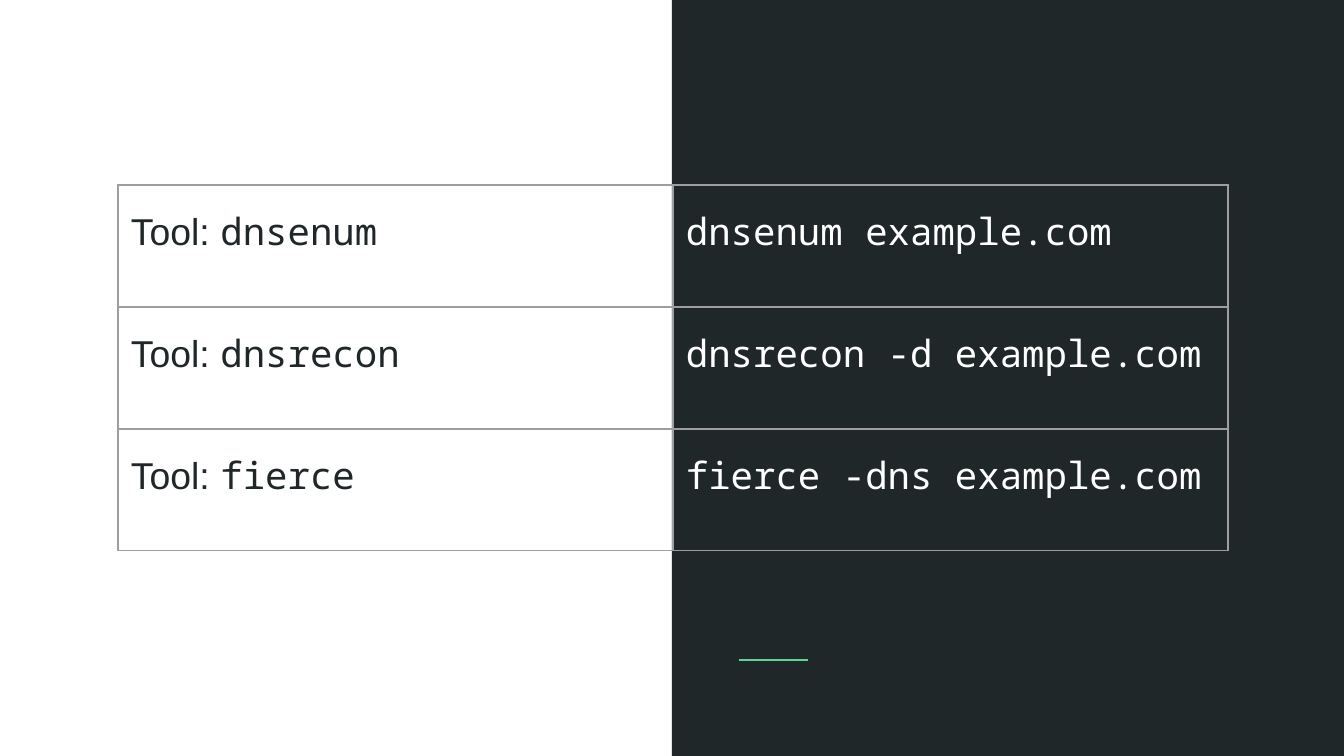
"""Build a slide that pairs DNS enumeration tools with their commands."""
from dataclasses import dataclass

from lxml import etree
from pptx import Presentation
from pptx.dml.color import RGBColor
from pptx.enum.shapes import MSO_CONNECTOR, MSO_SHAPE
from pptx.oxml.ns import qn
from pptx.slide import Slide
from pptx.table import _Cell
from pptx.util import Emu, Pt

RECT = MSO_SHAPE.RECTANGLE
STRAIGHT = MSO_CONNECTOR.STRAIGHT
DARK = RGBColor(0x20, 0x27, 0x29)
WHITE = RGBColor(0xFF, 0xFF, 0xFF)
GREEN = RGBColor(0x63, 0xD2, 0x97)
GREY = RGBColor(0x9E, 0x9E, 0x9E)
SANS = "Arial"
MONO = "Noto Sans Mono"
SLIDE_W, SLIDE_H = 1344, 756
TABLE_LEFT, TABLE_TOP = 118, 185
COL_W, ROW_H = 555, 122
CELL_MARGIN = 13


@dataclass(frozen=True)
class Run:
    text: str
    font: str
    color: RGBColor


@dataclass(frozen=True)
class Tool:
    name: str
    command: str


TOOLS = [
    Tool("dnsenum", "dnsenum example.com"),
    Tool("dnsrecon", "dnsrecon -d example.com"),
    Tool("fierce", "fierce -dns example.com"),
]


def px(n: int) -> Emu:
    return Emu(round(n * 914400 / 134.4))


def add_panel(s: Slide) -> None:
    panel = s.shapes.add_shape(RECT, px(SLIDE_W // 2), 0, px(SLIDE_W // 2), px(SLIDE_H))
    panel.shadow.inherit = False
    panel.fill.solid()
    panel.fill.fore_color.rgb = DARK
    panel.line.fill.background()


def add_accent(s: Slide) -> None:
    accent = s.shapes.add_connector(STRAIGHT, px(739), px(660), px(808), px(660))
    accent.line.color.rgb = GREEN
    accent.line.width = Pt(1.5)
    etree.SubElement(accent._element.spPr, qn("a:effectLst"))


def set_borders(cell: _Cell) -> None:
    tc_pr = cell._tc.get_or_add_tcPr()
    for i, side in enumerate(("lnL", "lnR", "lnT", "lnB")):
        ln = etree.Element(qn(f"a:{side}"), w=str(Pt(0.75)))
        fill = etree.SubElement(ln, qn("a:solidFill"))
        etree.SubElement(fill, qn("a:srgbClr"), val=str(GREY))
        tc_pr.insert(i, ln)


def fill_cell(cell: _Cell, runs: list[Run]) -> None:
    cell.fill.background()
    set_borders(cell)
    cell.margin_left = cell.margin_right = px(CELL_MARGIN)
    cell.margin_top = cell.margin_bottom = px(CELL_MARGIN)
    p = cell.text_frame.paragraphs[0]
    p.line_spacing = 1.15
    p.space_after = Pt(12)
    for run in runs:
        r = p.add_run()
        r.text = run.text
        r.font.name = run.font
        r.font.size = Pt(20)
        r.font.color.rgb = run.color


def add_tool_table(s: Slide, tools: list[Tool]) -> None:
    table = s.shapes.add_table(
        len(tools), 2, px(TABLE_LEFT), px(TABLE_TOP),
        px(2 * COL_W), px(len(tools) * ROW_H),
    ).table
    table.first_row = False
    table.horz_banding = False
    for col in table.columns:
        col.width = px(COL_W)
    for i, tool in enumerate(tools):
        table.rows[i].height = px(ROW_H)
        fill_cell(table.cell(i, 0), [Run("Tool: ", SANS, DARK), Run(tool.name, MONO, DARK)])
        fill_cell(table.cell(i, 1), [Run(tool.command, MONO, WHITE)])


def main() -> None:
    prs = Presentation()
    prs.slide_width, prs.slide_height = px(SLIDE_W), px(SLIDE_H)
    s = prs.slides.add_slide(prs.slide_layouts[6])
    s.background.fill.solid()
    s.background.fill.fore_color.rgb = WHITE
    add_panel(s)
    add_accent(s)
    add_tool_table(s, TOOLS)
    prs.save("out.pptx")


if __name__ == "__main__":
    main()
